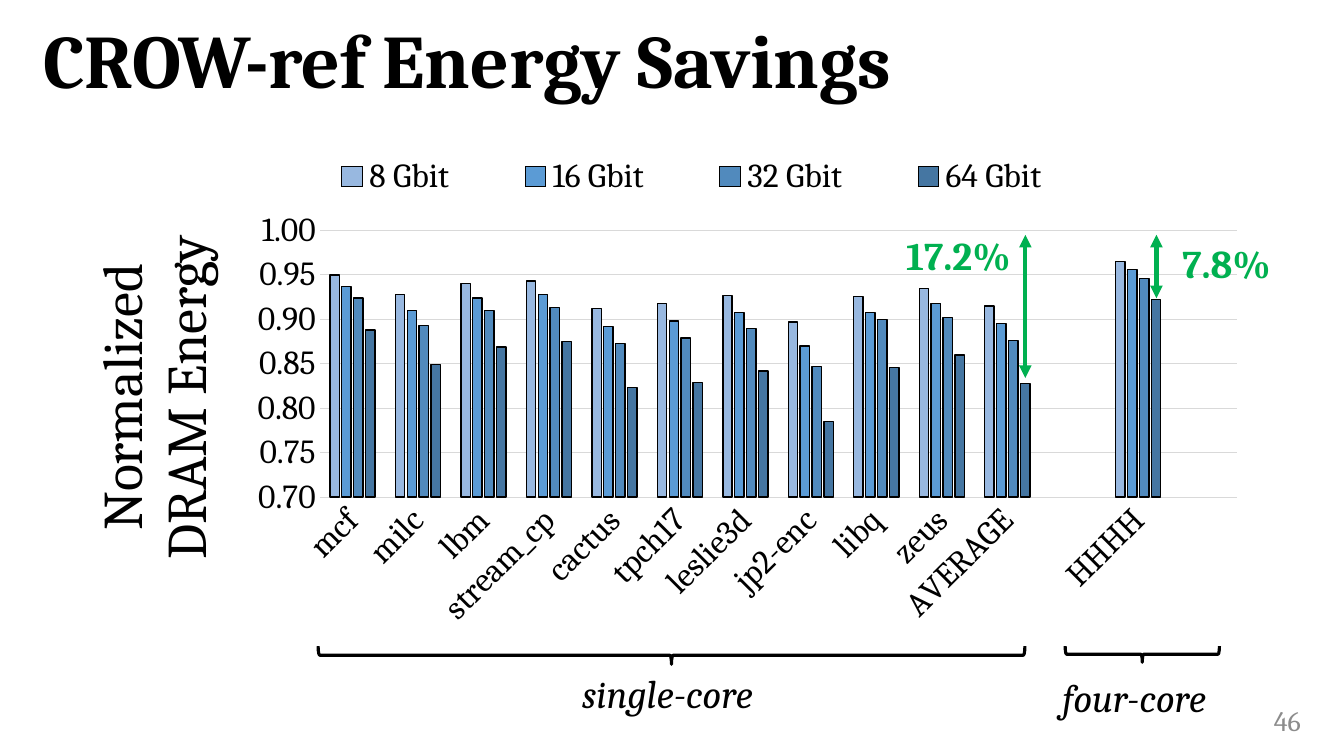
import pptx
import pptx.util
import pptx.oxml
import pptx.chart.data
import pptx.dml.color
import pptx.enum.chart
import pptx.enum.shapes
import pptx.enum.text

Inches = pptx.util.Inches
Pt = pptx.util.Pt
ALIGN = pptx.enum.text.PP_ALIGN
ANCHOR = pptx.enum.text.MSO_ANCHOR
TICK = pptx.enum.chart.XL_TICK_MARK

# Content
FACE = "Cambria"
COLORS = {"ink": "000000", "green": "00B050", "grid": "D9D9D9", "page": "8C8C8C"}
CATS = ["mcf", "milc", "lbm", "stream_cp", "cactus", "tpch17", "leslie3d",
        "jp2-enc", "libq", "zeus", "AVERAGE", "", "HHHH", ""]
SERIES = [
    ("8 Gbit", "98B8E0", [0.95, 0.928, 0.94, 0.943, 0.912, 0.918, 0.927,
                          0.897, 0.926, 0.935, 0.915, None, 0.965, None]),
    ("16 Gbit", "5B9BD5", [0.937, 0.91, 0.924, 0.928, 0.892, 0.898, 0.908,
                           0.87, 0.908, 0.918, 0.895, None, 0.956, None]),
    ("32 Gbit", "518ABD", [0.924, 0.893, 0.91, 0.913, 0.873, 0.879, 0.89,
                           0.847, 0.9, 0.902, 0.876, None, 0.946, None]),
    ("64 Gbit", "4576A2", [0.888, 0.849, 0.869, 0.875, 0.823, 0.829, 0.842,
                           0.785, 0.846, 0.86, 0.828, None, 0.922, None]),
]
GREEN = {"size": 28, "bold": True, "color": "green"}
GROUP = {"size": 28, "italic": True, "color": "ink"}
# text, box, align, anchor, line spacing, format
TEXTS = [
    ("CROW-ref Energy Savings", (0.33, 0.17, 12.67, 0.92), ALIGN.LEFT,
     ANCHOR.MIDDLE, 0.9, {"size": 54, "bold": True, "color": "ink"}),
    ("17.2%", (8.67, 2.25, 1.67, 0.57), ALIGN.CENTER, ANCHOR.TOP, 1.0, GREEN),
    ("7.8%", (11.33, 2.33, 1.67, 0.57), ALIGN.CENTER, ANCHOR.TOP, 1.0, GREEN),
    ("single-core", (5.08, 6.59, 3.08, 0.57), ALIGN.CENTER, ANCHOR.TOP, 1.0, GROUP),
    ("four-core", (9.71, 6.63, 3.08, 0.57), ALIGN.CENTER, ANCHOR.TOP, 1.0, GROUP),
    ("46", (12, 6.95, 1, 0.4), ALIGN.RIGHT, ANCHOR.MIDDLE, 1.0,
     {"size": 20, "color": "page"}),
]
ARROWS = [(10.17, 2.33, 3.75), (11.47, 2.33, 2.96)]  # x, top, end
BRACES = [(6.66, 6.5, 7.01, 0.18), (11.33, 6.49, 1.53, 0.16)]  # centre, span, depth


def tint(value):
    return pptx.dml.color.RGBColor.from_string(COLORS.get(value, value))


def style(font, form):
    font.name = FACE
    for key, value in form.items():
        if key == "color":
            font.color.rgb = tint(value)
        else:
            setattr(font, key, Pt(value) if key == "size" else value)


def stroke(line, color, width):
    line.color.rgb = tint(color)
    line.width = Pt(width)


def place(node, index, inner=False, **spots):
    """Give a chart part a fixed layout, as shares of the chart."""
    for old in node.findall(pptx.oxml.ns.qn("c:layout")):
        node.remove(old)
    rows = '<c:layoutTarget val="inner"/>' if inner else ""
    rows += "".join(f'<c:{key}Mode val="edge"/>' for key in "xy")
    rows += "".join(f'<c:{key} val="{value}"/>' for key, value in spots.items())
    node.insert(index, pptx.oxml.parse_xml(
        f'<c:layout {pptx.oxml.ns.nsdecls("c")}><c:manualLayout>{rows}'
        "</c:manualLayout></c:layout>"))


deck = pptx.Presentation()
deck.slide_width, deck.slide_height = Inches(13.33), Inches(7.5)
slide = deck.slides.add_slide(deck.slide_layouts[6])
shapes = slide.shapes

# Chart
data = pptx.chart.data.CategoryChartData(number_format="0.000")
data.categories = CATS
for name, _, vals in SERIES:
    data.add_series(name, vals)
chart = shapes.add_chart(
    pptx.enum.chart.XL_CHART_TYPE.COLUMN_CLUSTERED,
    *map(Inches, (0.75, 1.08, 11.75, 5.83)), data).chart
label = {"size": 24, "color": "ink"}
style(chart.font, label)
chart.has_title = False
plot = chart.plots[0]
for key, value in {"gap_width": 219, "overlap": -27,
                   "vary_by_categories": False}.items():
    setattr(plot, key, value)
for bars, (_, color, _) in zip(plot.series, SERIES):
    bars.format.fill.solid()
    bars.format.fill.fore_color.rgb = tint(color)
    stroke(bars.format.line, "ink", 1)
place(chart.plots[0]._element.getparent(), 0, True,
      x=0.206, y=0.207, w=0.774, h=0.454)

# Legend
chart.has_legend = True
legend = chart.legend
legend.position = pptx.enum.chart.XL_LEGEND_POSITION.BOTTOM
legend.include_in_layout = False
style(legend.font, label)
place(legend._element, 1, x=0.17, y=0.07, w=0.7, h=0.09)

# Axes
cat, val = chart.category_axis, chart.value_axis
for axis in (cat, val):
    axis.major_tick_mark = axis.minor_tick_mark = TICK.NONE
    style(axis.tick_labels.font, label)
stroke(cat.format.line, "grid", 0.75)
cat._element.txPr.bodyPr.set("rot", "-2700000")
for key, value in {"minimum_scale": 0.7, "maximum_scale": 1.0, "major_unit": 0.05,
                   "has_major_gridlines": True}.items():
    setattr(val, key, value)
val.format.line.fill.background()
stroke(val.major_gridlines.format.line, "grid", 0.75)
val.tick_labels.number_format = "#,##0.00"
val.tick_labels.number_format_is_linked = False
frame = val.axis_title.text_frame
frame.text = "Normalized\nDRAM Energy"
frame._txBody.bodyPr.set("rot", "-5400000")
frame._txBody.bodyPr.set("vert", "horz")
for para in frame.paragraphs:
    para.alignment = ALIGN.CENTER
    for run in para.runs:
        style(run.font, {"size": 40, "bold": False, "color": "ink"})
place(val.axis_title._element, 1, x=0.01, y=0.21)

# Texts
for text, box, align, anchor, space, form in TEXTS:
    frame = shapes.add_textbox(*map(Inches, box)).text_frame
    frame.word_wrap = True
    frame.vertical_anchor = anchor
    para = frame.paragraphs[0]
    para.alignment, para.line_spacing = align, space
    run = para.add_run()
    run.text = text
    style(run.font, form)

# Savings arrows
for x, top, end in ARROWS:
    arrow = shapes.add_connector(pptx.enum.shapes.MSO_CONNECTOR.STRAIGHT,
                                 *map(Inches, (x, top, x, end)))
    stroke(arrow.line, "green", 3)
    for tag in ("headEnd", "tailEnd"):
        tip = pptx.oxml.parse_xml(
            f'<a:{tag} {pptx.oxml.ns.nsdecls("a")} type="triangle"/>')
        arrow.line._get_or_add_ln().append(tip)
    arrow._element.spPr.append(pptx.oxml.parse_xml(
        f'<a:effectLst {pptx.oxml.ns.nsdecls("a")}/>'))

# Group braces, turned to point down
for x, y, span, depth in BRACES:
    brace = shapes.add_shape(
        pptx.enum.shapes.MSO_SHAPE.LEFT_BRACE,
        *map(Inches, (x - depth / 2, y - span / 2, depth, span)))
    brace.rotation = 270
    brace.shadow.inherit = False
    brace.fill.background()
    stroke(brace.line, "ink", 2.25)

deck.save("out.pptx")
